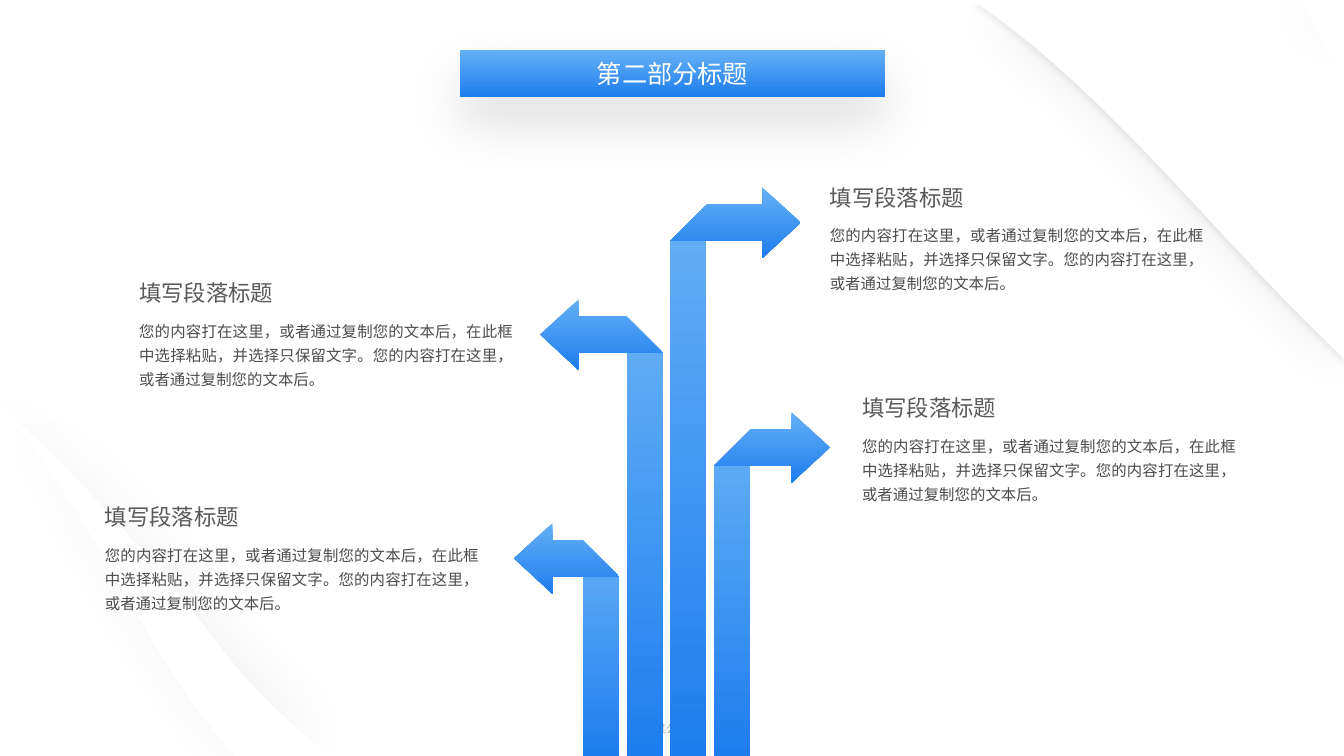
from lxml.etree import SubElement as Sub
from pptx import Presentation
from pptx.dml.color import RGBColor as Rgb
from pptx.enum.text import MSO_ANCHOR as Anchor, MSO_AUTO_SIZE as Auto, PP_ALIGN as Align
from pptx.oxml.ns import qn
from pptx.util import Inches, Pt

WIDE, HIGH = 13.33, 7.5
FONT = "Noto Sans CJK SC"
COLORS = {"white": "FFFFFF", "light": "64B0F5", "deep": "1E7DEE", "black": "000000",
          "gray": "808080", "head": "595959", "body": "4C4C4C", "foot": "A6A6A6"}
HEAD = "填写段落标题"
BODY = "您的内容打在这里，或者通过复制您的文本后，在此框中选择粘贴，并选择只保留文字。您的内容打在这里，或者通过复制您的文本后。"

# Outlines: a pair is a corner, six numbers are a Bezier curve.
LEFT_EDGE = [(0, 4.03), (0.03, 4.06), (0.42, 4.39, 1.22, 5.15, 2.25, 6.5),
             (2.53, 6.85, 2.84, 7.15, 3.16, 7.41), (3.28, HIGH)]
LEFT_FOLD = [(0, 4.07), (0.01, 4.08), (0.91, 5.03, 1.29, 6.22, 2.12, 7.25), (2.33, HIGH)]
LEFT_PAGE = LEFT_EDGE + [(0, HIGH)]
LEFT_LEAF = LEFT_FOLD + [(0, HIGH)]
LEFT_BAND = LEFT_EDGE + [(2.33, HIGH), (2.12, 7.25),
                         (1.29, 6.22, 0.91, 5.03, 0.01, 4.08), (0, 4.07)]
RIGHT_CURL = [(12.89, 0), (13.03, 0.24), (13.09, 0.35, 13.15, 0.46, 13.22, 0.57), (WIDE, 0.76)]
RIGHT_EDGE = [(WIDE, 3.56), (13.18, 3.41), (11.98, 2.26, 11.01, 0.95, 9.69, 0.03)]
RIGHT_PAGE = [(9.64, 0), (WIDE, 0)] + RIGHT_EDGE
RIGHT_LEAF = [(9.64, 0)] + RIGHT_CURL + RIGHT_EDGE
RIGHT_TIP = RIGHT_CURL + [(WIDE, 0)]

THIN = ("black", 5, 4, 4, 90)
SOFT = ("black", 5, 40, 10, 90)
RIM = ("black", 5, 49, 7, 270)
SHEETS = [(LEFT_PAGE, THIN, 100), (LEFT_LEAF, SOFT, 100), (LEFT_BAND, RIM, 100),
          (LEFT_PAGE, None, 20), (RIGHT_PAGE, THIN, 100), (RIGHT_LEAF, SOFT, 100),
          (RIGHT_TIP, RIM, 100), (RIGHT_PAGE, None, 20)]

STEM, LEFT, STEP = 0.36, 5.78, 0.435
# Fold height, arrow tip, direction, text left, text top; stems run left to right.
SIGNS = [(5.36, 5.1, -1, 1.04, 4.99), (3.14, 5.36, -1, 1.38, 2.77),
         (2.03, 7.94, 1, 8.23, 1.82), (4.26, 8.23, 1, 8.55, 3.91)]


def color(name):
    return Rgb.from_string(COLORS[name])


def flat(outline, steps=24):
    """Turn corners and curves into a list of points."""
    dots = []
    for part in outline:
        if len(part) == 2:
            dots.append(part)
            continue
        nodes = [dots[-1], part[:2], part[2:4], part[4:]]
        for i in range(1, steps + 1):
            t = i / steps
            rates = [(1 - t) ** 3, 3 * t * (1 - t) ** 2, 3 * t * t * (1 - t), t ** 3]
            dots.append(tuple(sum(r * n[k] for r, n in zip(rates, nodes)) for k in (0, 1)))
    return dots


def trace(slide, outline):
    dots = [(Inches(x), Inches(y)) for x, y in flat(outline)]
    pen = slide.shapes.build_freeform(*dots[0], scale=1)
    pen.add_line_segments(dots[1:], close=True)
    shape = pen.convert_to_shape()
    shape.line.fill.background()
    shape.shadow.inherit = False
    return shape


def shade(shape, name, alpha, blur, dist, angle):
    shape.shadow.inherit = False
    effects = shape._element.spPr.find(qn("a:effectLst"))
    outer = Sub(effects, qn("a:outerShdw"), blurRad=str(Pt(blur)), dist=str(Pt(dist)),
                dir=str(angle * 60000), algn="ctr", rotWithShape="0")
    tint = Sub(outer, qn("a:srgbClr"), val=COLORS[name])
    Sub(tint, qn("a:alpha"), val=str(alpha * 1000))


def blend(shape):
    """Fill from light at the top to deep at the bottom."""
    shape.fill.gradient()
    shape.fill.gradient_angle = 270
    for stop, name in zip(shape.fill.gradient_stops, ("light", "deep")):
        stop.color.rgb = color(name)


def sheet(slide, outline, shadow, alpha):
    shape = trace(slide, outline)
    shape.fill.solid()
    shape.fill.fore_color.rgb = color("white")
    if alpha < 100:
        tint = shape._element.spPr.find(".//" + qn("a:srgbClr"))
        Sub(tint, qn("a:alpha"), val=str(alpha * 1000))
    if shadow:
        shade(shape, *shadow)


def write(shape, text, size, name, align=Align.LEFT, space=1.0, **frame):
    box = shape.text_frame
    for key, value in frame.items():
        setattr(box, key, value)
    para = box.paragraphs[0]
    para.alignment, para.line_spacing = align, space
    run = para.add_run()
    run.text = text
    for key, value in {"size": Pt(size), "name": FONT, "bold": False}.items():
        setattr(run.font, key, value)
    run.font.color.rgb = color(name)
    Sub(run._r.get_or_add_rPr(), qn("a:ea"), typeface=FONT)


def label(slide, at, text, size, name, pad=0, **style):
    box = slide.shapes.add_textbox(*map(Inches, at))
    sides = {"margin_" + side: Inches(pad) for side in ("left", "top", "right", "bottom")}
    write(box, text, size, name, **sides, **style)


def title(slide):
    pill = slide.shapes.title
    for key, value in {"left": 4.56, "top": 0.5, "width": 4.22, "height": 0.46}.items():
        setattr(pill, key, Inches(value))
    props = pill._element.spPr
    form = Sub(props, qn("a:prstGeom"), prst="roundRect")
    Sub(Sub(form, qn("a:avLst")), qn("a:gd"), name="adj", fmla="val 50000")
    blend(pill)
    pill.line.fill.background()
    shade(pill, "gray", 25, 39, 18, 90)
    write(pill, "第二部分标题", 18, "white", Align.CENTER,
          vertical_anchor=Anchor.MIDDLE, auto_size=Auto.NONE)


def sign(slide, x, top, tip, way):
    """Draw a stem that folds into an arrow to the left (-1) or right (1)."""
    near, far = (x, x + STEM) if way > 0 else (x + STEM, x)
    low, neck = top + STEM, tip - way * 0.38
    stem = [(far, top), (far, HIGH), (near, HIGH), (near, low)]
    arrow = [(near, low), (far, top), (neck, top), (neck, top - 0.17),
             (tip, top + STEM / 2), (neck, low + 0.17), (neck, low)]
    for outline in (stem, arrow):
        blend(trace(slide, outline))


def note(slide, x, y):
    label(slide, (x, y, 1.35, 0.27), HEAD, 16, "head",
          vertical_anchor=Anchor.MIDDLE, word_wrap=False)
    label(slide, (x, y + 0.37, 3.71, 0.72), BODY, 11, "body",
          align=Align.JUSTIFY, space=1.3, word_wrap=True)


def main():
    deck = Presentation()
    deck.slide_width, deck.slide_height = Inches(WIDE), Inches(HIGH)
    slide = deck.slides.add_slide(deck.slide_layouts[5])
    for item in SHEETS:
        sheet(slide, *item)
    label(slide, (6.43, 7.11, 0.47, 0.24), "某公司", 8, "foot", pad=0.05,
          align=Align.CENTER, vertical_anchor=Anchor.BOTTOM, word_wrap=False)
    title(slide)
    for i, (top, tip, way, x, y) in enumerate(SIGNS):
        sign(slide, LEFT + i * STEP, top, tip, way)
        note(slide, x, y)
    deck.save("out.pptx")


if __name__ == "__main__":
    main()
